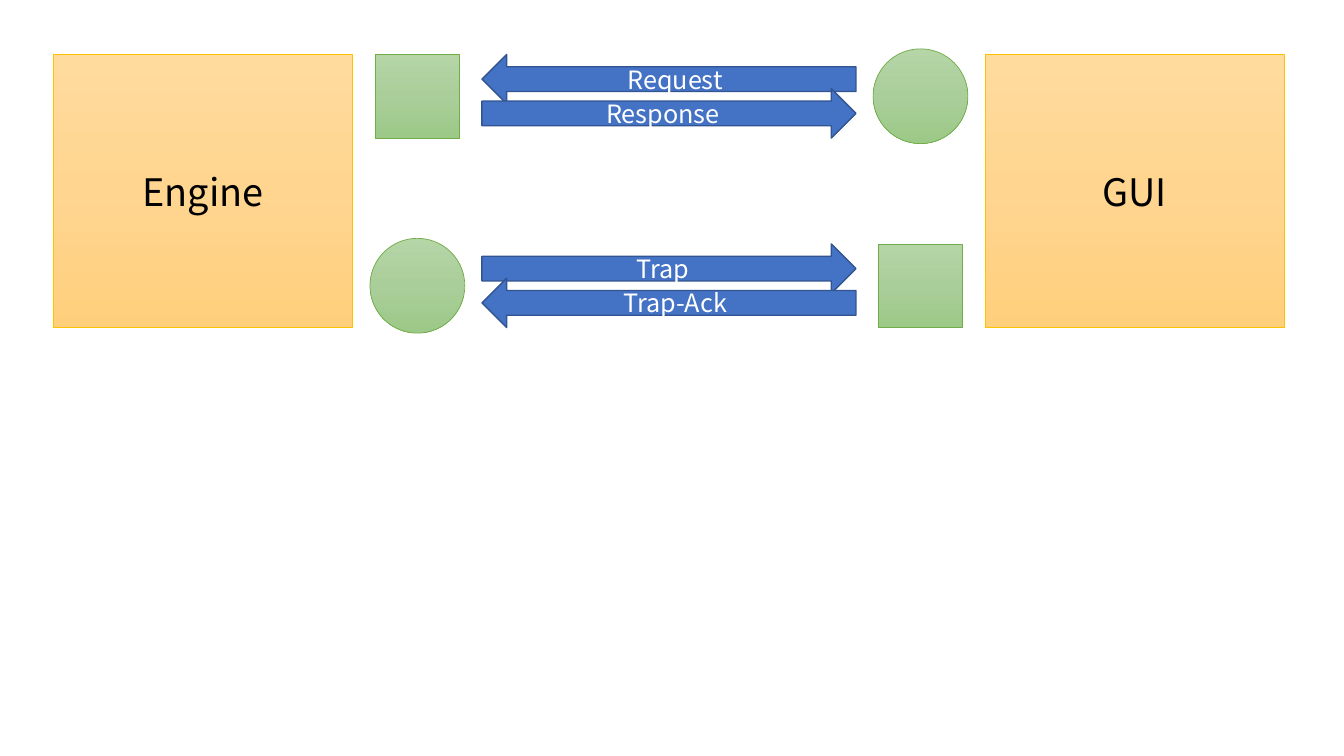
from copy import deepcopy
from dataclasses import dataclass

from pptx import Presentation
from pptx import util as u
from pptx.dml.color import RGBColor
from pptx.enum import shapes, text
from pptx.oxml.ns import qn

SHAPE = shapes.MSO_SHAPE


@dataclass(frozen=True)
class Theme:
    font: str = "Noto Sans CJK KR"
    system_size: int = 27
    message_size: int = 18
    system_text: str = "000000"
    message_text: str = "FFFFFF"
    system_fill: tuple = ("FFDB9E", "FFD590", "FFD07C")
    system_line: str = "FFC000"
    port_fill: tuple = ("B5D5A7", "AACE9A", "9CC987")
    port_line: str = "70AD47"
    message_fill: str = "4472C4"
    message_line: str = "325491"


class Diagram:
    def __init__(self, page, theme):
        self.page = page
        self.theme = theme

    def shape(self, kind, left, top, width, height, line, line_width):
        lengths = [u.Inches(value) for value in (left, top, width, height)]
        shape = self.page.shapes.add_shape(kind, *lengths)
        shape.shadow.inherit = False
        shape.line.color.rgb = RGBColor.from_string(line)
        shape.line.width = u.Pt(line_width)
        return shape

    def shade(self, shape, colours):
        """Fill from top to bottom with three evenly spaced colours."""
        shape.fill.gradient()
        shape.fill.gradient_angle = 270
        stop_list = shape.element.spPr.find(qn("a:gradFill")).find(qn("a:gsLst"))
        stop_list.insert(1, deepcopy(stop_list[0]))
        for index, (stop, colour) in enumerate(zip(shape.fill.gradient_stops, colours)):
            stop.position = index / 2
            stop.color.rgb = RGBColor.from_string(colour)

    def label(self, shape, words, size, colour):
        frame = shape.text_frame
        frame_format = {
            "word_wrap": True,
            "vertical_anchor": text.MSO_ANCHOR.MIDDLE,
            "margin_top": 0,
            "margin_bottom": 0,
        }
        for name, value in frame_format.items():
            setattr(frame, name, value)
        para = frame.paragraphs[0]
        para.alignment = text.PP_ALIGN.CENTER
        span = para.add_run()
        span.text = words
        for name, value in {"name": self.theme.font, "size": u.Pt(size)}.items():
            setattr(span.font, name, value)
        span.font.color.rgb = RGBColor.from_string(colour)

    def system(self, words, left, top, width, height):
        theme = self.theme
        box = self.shape(SHAPE.RECTANGLE, left, top, width, height, theme.system_line, 0.5)
        self.shade(box, theme.system_fill)
        self.label(box, words, theme.system_size, theme.system_text)

    def port(self, kind, centre_x, centre_y, size):
        left, top = centre_x - size / 2, centre_y - size / 2
        port = self.shape(kind, left, top, size, size, self.theme.port_line, 0.5)
        self.shade(port, self.theme.port_fill)

    def message(self, words, kind, left, top, width, height):
        theme = self.theme
        arrow = self.shape(kind, left, top, width, height, theme.message_line, 1)
        arrow.fill.solid()
        arrow.fill.fore_color.rgb = RGBColor.from_string(theme.message_fill)
        self.label(arrow, words, theme.message_size, theme.message_text)


def main():
    deck = Presentation()
    deck.slide_width, deck.slide_height = u.Inches(13.33), u.Inches(7.5)
    diagram = Diagram(deck.slides.add_slide(deck.slide_layouts[6]), Theme())

    # The two systems
    top = 0.54
    for words, left in (("Engine", 0.53), ("GUI", 9.77)):
        diagram.system(words, left, top, 2.97, 2.71)

    # Ports: a square receives, a circle starts the exchange
    square, circle = 0.83, 0.94
    engine_x, gui_x = 4.14, 9.13
    row_tops = (top, top + 1.88)
    upper_y, lower_y = (row_top + square / 2 for row_top in row_tops)
    for kind, size, places in (
        (SHAPE.RECTANGLE, square, ((engine_x, upper_y), (gui_x, lower_y))),
        (SHAPE.OVAL, circle, ((gui_x, upper_y), (engine_x, lower_y))),
    ):
        for centre_x, centre_y in places:
            diagram.port(kind, centre_x, centre_y, size)

    # Messages: one pair of overlapping arrows per exchange
    to_engine, to_gui = SHAPE.LEFT_ARROW, SHAPE.RIGHT_ARROW
    exchanges = (
        (("Request", to_engine), ("Response", to_gui)),
        (("Trap", to_gui), ("Trap-Ack", to_engine)),
    )
    for row_top, exchange in zip(row_tops, exchanges):
        for index, (words, kind) in enumerate(exchange):
            diagram.message(words, kind, 4.78, row_top + index * 0.34, 3.71, 0.49)

    deck.save("out.pptx")


if __name__ == "__main__":
    main()
